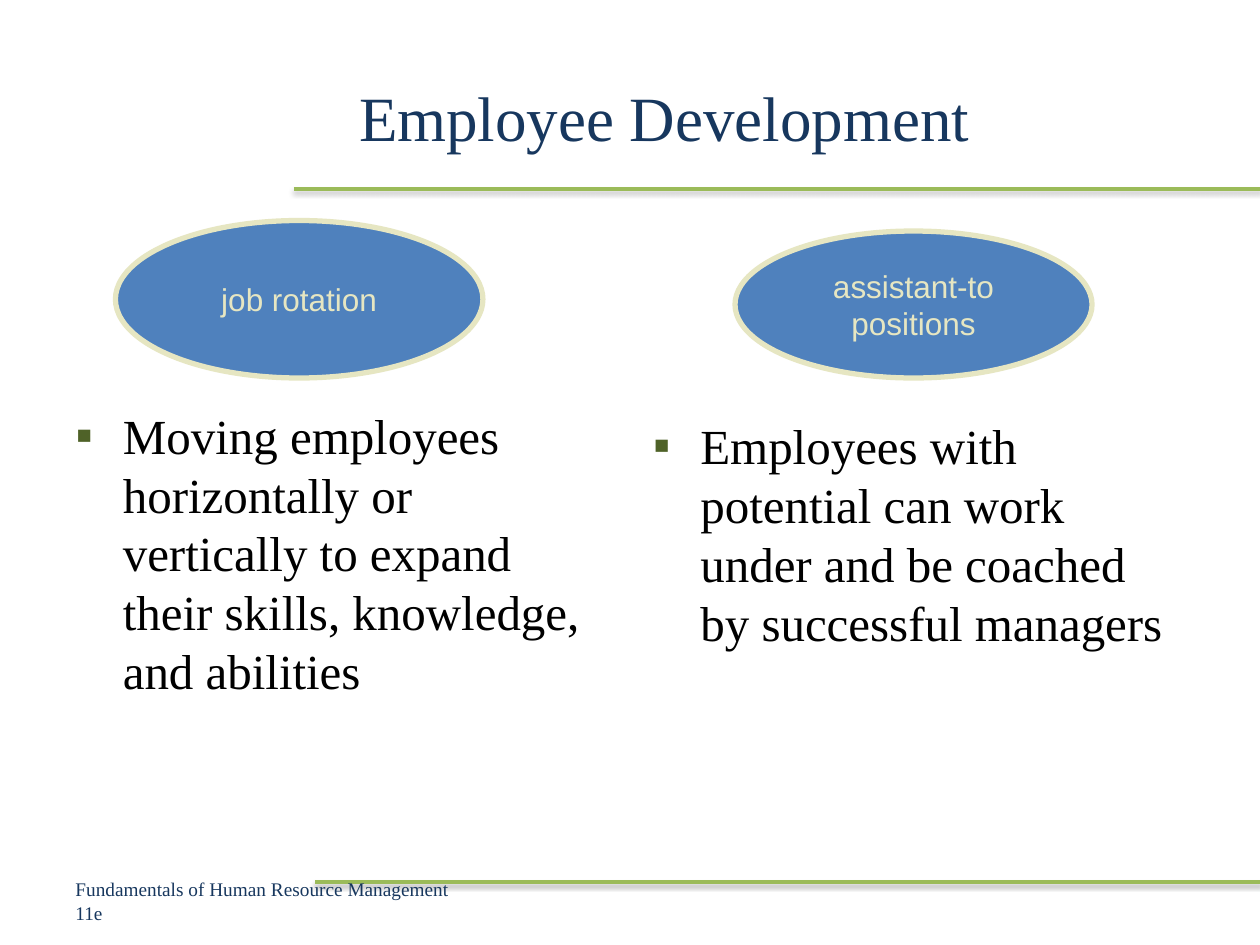
from dataclasses import dataclass

from lxml.etree import SubElement as Sub
from pptx import Presentation
from pptx.dml.color import RGBColor as RGB
from pptx.enum.shapes import MSO_CONNECTOR as Link, MSO_SHAPE as Kind
from pptx.enum.text import MSO_ANCHOR as Anchor, MSO_AUTO_SIZE as Fit, PP_ALIGN as Align
from pptx.oxml.ns import qn
from pptx.util import Pt


@dataclass(frozen=True)
class Theme:
    navy: str = "17375E"
    black: str = "000000"
    green: str = "9BBB59"
    olive: str = "4F6228"
    blue: str = "4F81BD"
    cream: str = "E6E6C2"
    serif: str = "Times New Roman"
    sans: str = "Arial"
    head: int = 36
    body: int = 28
    label: int = 18
    foot: int = 11


T = Theme()
WIDE, HIGH = 720, 540


def place(shape, left, top, width, height):
    shape.left, shape.top = Pt(left), Pt(top)
    shape.width, shape.height = Pt(width), Pt(height)


def write(para, text, size, color, face=T.serif):
    run = para.add_run()
    run.text = text
    font = run.font
    font.size, font.name = Pt(size), face
    font.color.rgb = RGB.from_string(color)


def add_rule(slide, left, top):
    """Green line to the right edge, with a soft shadow below it."""
    rule = slide.shapes.add_connector(
        Link.STRAIGHT, Pt(left), Pt(top), Pt(WIDE), Pt(top))
    rule.line.color.rgb = RGB.from_string(T.green)
    rule.line.width = Pt(2)
    props = rule.line._get_or_add_ln().getparent()
    glow = Sub(Sub(props, qn("a:effectLst")), qn("a:outerShdw"),
               blurRad=str(Pt(3.1)), dist=str(Pt(1.6)),
               dir="5400000", rotWithShape="0")
    tint = Sub(glow, qn("a:srgbClr"), val=T.black)
    Sub(tint, qn("a:alpha"), val="38000")


def set_title(slide, text):
    title = slide.shapes.title
    place(title, 198, 21.6, 522, 90)
    frame = title.text_frame
    frame.auto_size, frame.vertical_anchor = Fit.NONE, Anchor.MIDDLE
    para = frame.paragraphs[0]
    para.alignment = Align.LEFT
    write(para, text, T.head, T.navy)


def set_point(body, text, *box):
    """Fill a body placeholder with one square-bulleted point."""
    place(body, *box)
    frame = body.text_frame
    frame.auto_size, frame.vertical_anchor = Fit.NONE, Anchor.TOP
    para = frame.paragraphs[0]
    props = para._p.get_or_add_pPr()
    props.set("marL", str(Pt(27)))
    props.set("indent", str(Pt(-27)))
    Sub(Sub(props, qn("a:buClr")), qn("a:srgbClr"), val=T.olive)
    Sub(props, qn("a:buFont"), typeface=T.serif)
    Sub(props, qn("a:buChar"), char="▪")
    para.space_before = Pt(0)
    write(para, text, T.body, T.black)


def add_oval(slide, lines, *box):
    oval = slide.shapes.add_shape(Kind.OVAL, *map(Pt, box))
    oval.shadow.inherit = False
    oval.fill.solid()
    oval.fill.fore_color.rgb = RGB.from_string(T.blue)
    oval.line.color.rgb = RGB.from_string(T.cream)
    oval.line.width = Pt(3)
    frame = oval.text_frame
    frame.word_wrap, frame.vertical_anchor = False, Anchor.MIDDLE
    for i, line in enumerate(lines):
        para = frame.add_paragraph() if i else frame.paragraphs[0]
        para.alignment = Align.CENTER
        write(para, line, T.label, T.cream, T.sans)


def add_foot(slide, text):
    frame = slide.shapes.add_textbox(
        Pt(36), Pt(500.4), Pt(228), Pt(28.8)).text_frame
    frame.word_wrap, frame.vertical_anchor = True, Anchor.MIDDLE
    write(frame.paragraphs[0], text, T.foot, T.navy)


def main():
    deck = Presentation()
    deck.slide_width, deck.slide_height = Pt(WIDE), Pt(HIGH)
    slide = deck.slides.add_slide(deck.slide_layouts[3])

    # Rules under the title and above the footer
    add_rule(slide, 168, 108)
    add_rule(slide, 180, 504)

    # Title and the two points
    set_title(slide, "Employee Development")
    left, right = slide.placeholders[1], slide.placeholders[2]
    set_point(left, "Moving employees horizontally or vertically to expand "
              "their skills, knowledge, and abilities", 36, 228, 318, 254)
    set_point(right, "Employees with potential can work under and be coached "
              "by successful managers", 366, 234, 318, 248)

    # Ovals naming each method
    add_oval(slide, ["job rotation"], 66, 126, 210, 90)
    add_oval(slide, ["assistant-to", "positions"], 420, 132, 204, 84)

    # Footer
    add_foot(slide, "Fundamentals of Human Resource Management 11e")
    deck.save("out.pptx")


if __name__ == "__main__":
    main()
